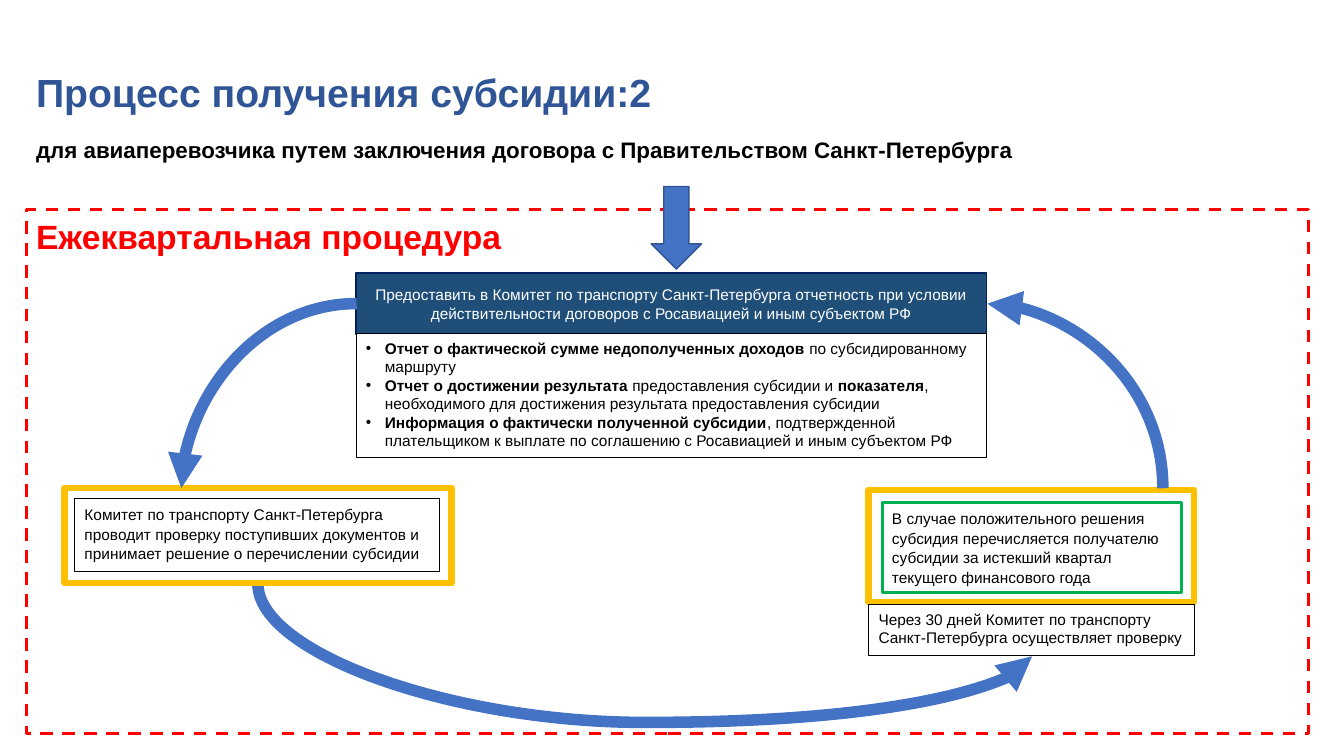
from lxml.etree import SubElement
from pptx import Presentation
from pptx.dml.color import RGBColor
from pptx.enum.dml import MSO_LINE
from pptx.enum.shapes import MSO_CONNECTOR, MSO_SHAPE
from pptx.enum.text import MSO_ANCHOR, PP_ALIGN
from pptx.oxml.ns import qn
from pptx.util import Cm, Pt

BLACK = RGBColor(0x00, 0x00, 0x00)
WHITE = RGBColor(0xFF, 0xFF, 0xFF)
RED = RGBColor(0xFF, 0x00, 0x00)
BLUE = RGBColor(0x44, 0x72, 0xC4)
ARROW_EDGE = RGBColor(0x32, 0x54, 0x91)
TITLE_BLUE = RGBColor(0x2F, 0x55, 0x97)
HEADER_BLUE = RGBColor(0x1F, 0x4E, 0x79)
NAVY = RGBColor(0x00, 0x20, 0x60)
GOLD = RGBColor(0xFF, 0xC0, 0x00)
GREEN = RGBColor(0x00, 0xB0, 0x50)

STEP_FORMAT = {"line_spacing": 1.07, "space_after": Pt(8)}
HEADER_FORMAT = {"alignment": PP_ALIGN.CENTER}

REPORTS = [
    [("Отчет о фактической сумме недополученных доходов ", True),
     ("по субсидированному маршруту", False)],
    [("Отчет о достижении результата ", True),
     ("предоставления субсидии и ", False),
     ("показателя", True),
     (", необходимого для достижения результата предоставления субсидии", False)],
    [("Информация о фактически полученной субсидии", True),
     (", подтвержденной плательщиком к выплате по соглашению "
      "с Росавиацией и иным субъектом РФ", False)],
]


class ProcessSlide:
    font_name = "Arial"
    body_size = 11
    curve_width = 8.25
    bullet_indent = Cm(0.48)

    def __init__(self, presentation):
        self.slide = presentation.slides.add_slide(presentation.slide_layouts[6])

    def apply(self, target, values):
        for name, value in values.items():
            setattr(target, name, value)

    def fill_text(self, shape, paragraphs, color=BLACK, size=None,
                  anchor=MSO_ANCHOR.TOP, paragraph_format=None, bullets=False):
        frame = shape.text_frame
        self.apply(frame, {"word_wrap": True, "vertical_anchor": anchor})
        values = {"alignment": PP_ALIGN.LEFT, **(paragraph_format or {})}
        for index, runs in enumerate(paragraphs):
            paragraph = frame.add_paragraph() if index else frame.paragraphs[0]
            if bullets:
                self.add_bullet(paragraph)
            self.apply(paragraph, values)
            for text, bold in runs:
                run = paragraph.add_run()
                run.text = text
                self.apply(run.font, {"name": self.font_name, "bold": bold,
                                      "size": Pt(size or self.body_size)})
                run.font.color.rgb = color

    def add_bullet(self, paragraph):
        properties = paragraph._p.get_or_add_pPr()
        properties.set("marL", str(self.bullet_indent))
        properties.set("indent", str(-self.bullet_indent))
        SubElement(properties, qn("a:buFont")).set("typeface", self.font_name)
        SubElement(properties, qn("a:buChar")).set("char", "•")

    def heading(self, bounds, text, size, color, **options):
        box = self.slide.shapes.add_textbox(*map(Cm, bounds))
        self.fill_text(box, [[(text, True)]], color, size, **options)

    def shape(self, bounds, line, width, fill=None, dash=None,
              kind=MSO_SHAPE.RECTANGLE):
        shape = self.slide.shapes.add_shape(kind, *map(Cm, bounds))
        shape.shadow.inherit = False
        if fill is None:
            shape.fill.background()
        else:
            shape.fill.solid()
            shape.fill.fore_color.rgb = fill
        shape.line.color.rgb = line
        self.apply(shape.line, {"width": Pt(width), "dash_style": dash})
        return shape

    def box(self, bounds, paragraphs, line=BLACK, width=0.5, fill=WHITE, **options):
        self.fill_text(self.shape(bounds, line, width, fill), paragraphs, **options)

    def curve(self, start, end, rotation, preset, bend=None):
        connector = self.slide.shapes.add_connector(
            MSO_CONNECTOR.CURVE, *map(Cm, start + end))
        connector.line.color.rgb = BLUE
        connector.line.width = Pt(self.curve_width)
        properties = connector.element.spPr
        properties.find(qn("a:xfrm")).set("rot", str(rotation * 60000))
        geometry = properties.find(qn("a:prstGeom"))
        geometry.set("prst", preset)
        if bend is not None:
            guide = SubElement(geometry.find(qn("a:avLst")), qn("a:gd"))
            guide.set("name", "adj1")
            guide.set("fmla", f"val {round(bend * 100000)}")
        SubElement(properties.find(qn("a:ln")), qn("a:tailEnd")).set("type", "triangle")
        SubElement(properties, qn("a:effectLst"))


def main():
    presentation = Presentation()
    presentation.slide_width = Cm(33.87)
    presentation.slide_height = Cm(19.05)
    process = ProcessSlide(presentation)

    process.heading((0.66, 0.56, 27.41, 3.68), "Процесс получения субсидии:2",
                    28, TITLE_BLUE, anchor=MSO_ANCHOR.MIDDLE,
                    paragraph_format={"line_spacing": 0.9})
    process.heading((0.66, 3.3, 28.04, 0.94),
                    "для авиаперевозчика путем заключения договора "
                    "с Правительством Санкт-Петербурга", 16, BLACK)
    process.shape((0.66, 5.28, 32.31, 13.21), RED, 2.25, dash=MSO_LINE.DASH)
    process.curve((17.17, 5.87), (15.34, 25.38), 270, "curvedConnector3", 1.91)

    process.box((8.97, 6.88, 15.9, 1.55),
                [[("Предоставить в Комитет по транспорту Санкт-Петербурга отчетность "
                   "при условии действительности договоров с Росавиацией "
                   "и иным субъектом РФ", False)]],
                NAVY, 1, HEADER_BLUE, color=WHITE, anchor=MSO_ANCHOR.MIDDLE,
                paragraph_format=HEADER_FORMAT)

    process.shape((1.63, 12.29, 9.75, 2.41), GOLD, 4.5)
    process.box((1.88, 12.57, 9.19, 1.83),
                [[("Комитет по транспорту Санкт-Петербурга проводит проверку "
                   "поступивших документов и принимает решение "
                   "о перечислении субсидии", False)]],
                paragraph_format=STEP_FORMAT)

    process.shape((21.89, 12.34, 8.2, 2.84), GOLD, 4.5)
    process.box((22.23, 12.67, 7.54, 2.26),
                [[("В случае положительного решения субсидия перечисляется "
                   "получателю субсидии за истекший квартал "
                   "текущего финансового года", False)]],
                GREEN, 2.25, paragraph_format=STEP_FORMAT)

    process.heading((0.66, 5.31, 15.9, 1.27), "Ежеквартальная процедура", 24, RED)
    process.shape((16.41, 4.7, 1.27, 2.08), ARROW_EDGE, 1, BLUE,
                  kind=MSO_SHAPE.DOWN_ARROW)
    process.box((8.97, 8.41, 15.9, 3.12), REPORTS, bullets=True)
    process.box((21.89, 15.24, 8.2, 1.27),
                [[("Через 30 дней Комитет по транспорту Санкт-Петербурга "
                   "осуществляет проверку", False)]])

    process.curve((4.57, 12.3), (8.99, 7.65), 180, "curvedConnector2")
    process.curve((24.77, 12.19), (29.42, 7.77), 270, "curvedConnector2")

    presentation.save("out.pptx")


if __name__ == "__main__":
    main()
